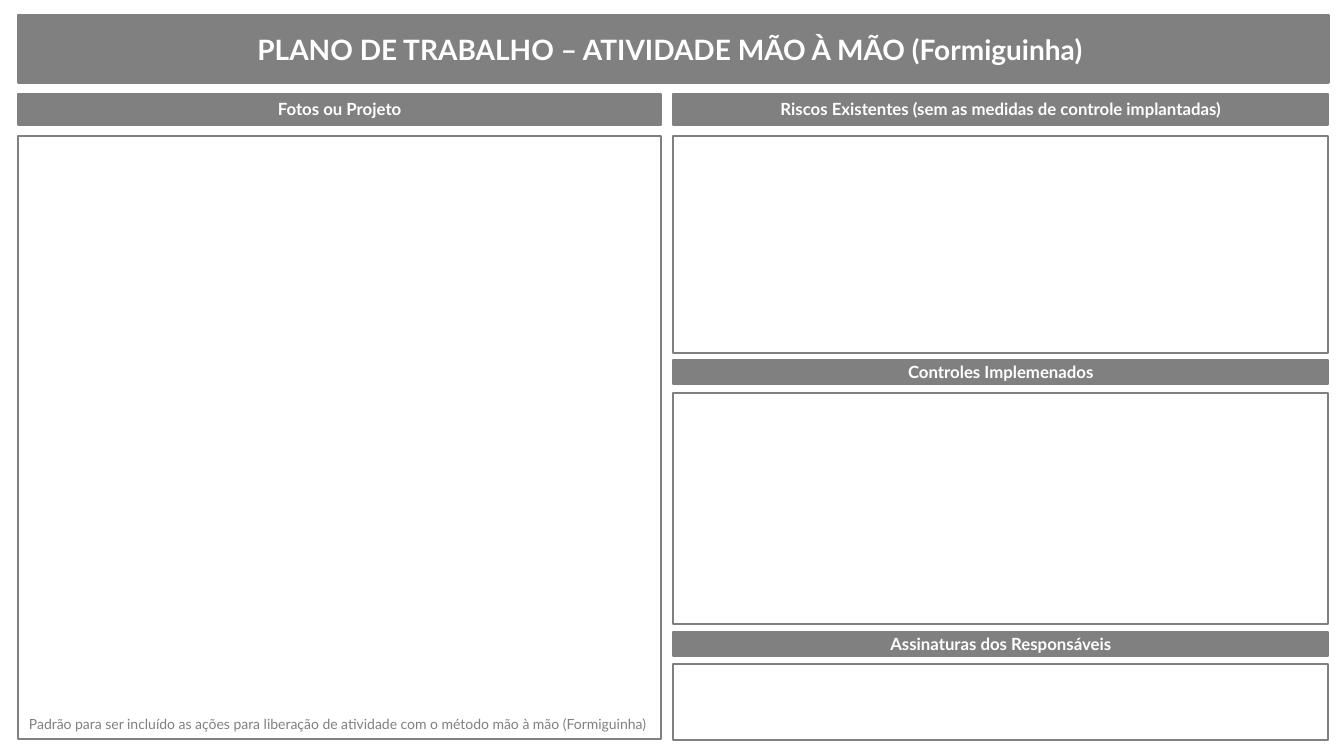
from pptx import Presentation
from pptx.dml.color import RGBColor
from pptx.enum.shapes import MSO_SHAPE
from pptx.enum.text import MSO_ANCHOR, MSO_AUTO_SIZE, PP_ALIGN
from pptx.util import Cm, Pt

RECTANGLE = MSO_SHAPE.RECTANGLE
MIDDLE = MSO_ANCHOR.MIDDLE
NO_AUTOFIT = MSO_AUTO_SIZE.NONE
CENTER = PP_ALIGN.CENTER
LEFT = PP_ALIGN.LEFT

FONT = "Lato"
GRAY = "808080"
WHITE = "FFFFFF"
TITLE_ONLY_LAYOUT = 5

LEFT_COLUMN = (0.46, 16.2)
RIGHT_COLUMN = (16.97, 16.51)

SECTIONS = [
    ("Fotos ou Projeto", LEFT_COLUMN, 2.36, 0.79, 3.43, 15.19),
    ("Riscos Existentes (sem as medidas de controle implantadas)",
     RIGHT_COLUMN, 2.36, 0.79, 3.43, 5.46),
    ("Controles Implemenados", RIGHT_COLUMN, 9.07, 0.61, 9.91, 5.82),
    ("Assinaturas dos Responsáveis", RIGHT_COLUMN, 15.93, 0.61, 16.74, 1.9),
]


def color(hex_value):
    return RGBColor.from_string(hex_value)


def write(target, text, size, hex_value, bold, alignment):
    frame = target.text_frame
    frame.text = text
    frame.auto_size = NO_AUTOFIT
    paragraph = frame.paragraphs[0]
    paragraph.alignment = alignment
    font = paragraph.runs[0].font
    font.name = FONT
    font.size = Pt(size)
    font.bold = bold
    font.color.rgb = color(hex_value)


def outline(target):
    target.line.color.rgb = color(GRAY)
    target.line.width = Pt(1.5)


def style_banner(banner, text, size):
    banner.fill.solid()
    banner.fill.fore_color.rgb = color(GRAY)
    outline(banner)
    write(banner, text, size, WHITE, True, CENTER)
    banner.text_frame.vertical_anchor = MIDDLE


def add_box(slide, left, top, width, height):
    box = slide.shapes.add_shape(RECTANGLE, Cm(left), Cm(top), Cm(width), Cm(height))
    box.shadow.inherit = False
    return box


def add_title(slide, text):
    title = slide.shapes.title
    title.left, title.top = Cm(0.46), Cm(0.38)
    title.width, title.height = Cm(33.02), Cm(1.7)
    style_banner(title, text, 20)


def add_section(slide, heading, column, heading_top, heading_height, area_top, area_height):
    left, width = column
    area = add_box(slide, left, area_top, width, area_height)
    area.fill.background()
    outline(area)
    banner = add_box(slide, left, heading_top, width, heading_height)
    style_banner(banner, heading, 12)


def add_caption(slide, text):
    caption = slide.shapes.add_textbox(Cm(0.48), Cm(17.91), Cm(16.23), Cm(0.69))
    write(caption, text, 10, GRAY, False, LEFT)
    caption.text_frame.word_wrap = False


def main():
    deck = Presentation()
    deck.slide_width, deck.slide_height = Cm(33.87), Cm(19.05)
    slide = deck.slides.add_slide(deck.slide_layouts[TITLE_ONLY_LAYOUT])
    add_title(slide, "PLANO DE TRABALHO – ATIVIDADE MÃO À MÃO (Formiguinha) ")
    for section in SECTIONS:
        add_section(slide, *section)
    add_caption(slide, "Padrão para ser incluído as ações para liberação de atividade "
                       "com o método mão à mão (Formiguinha)")
    deck.save("out.pptx")


if __name__ == "__main__":
    main()
